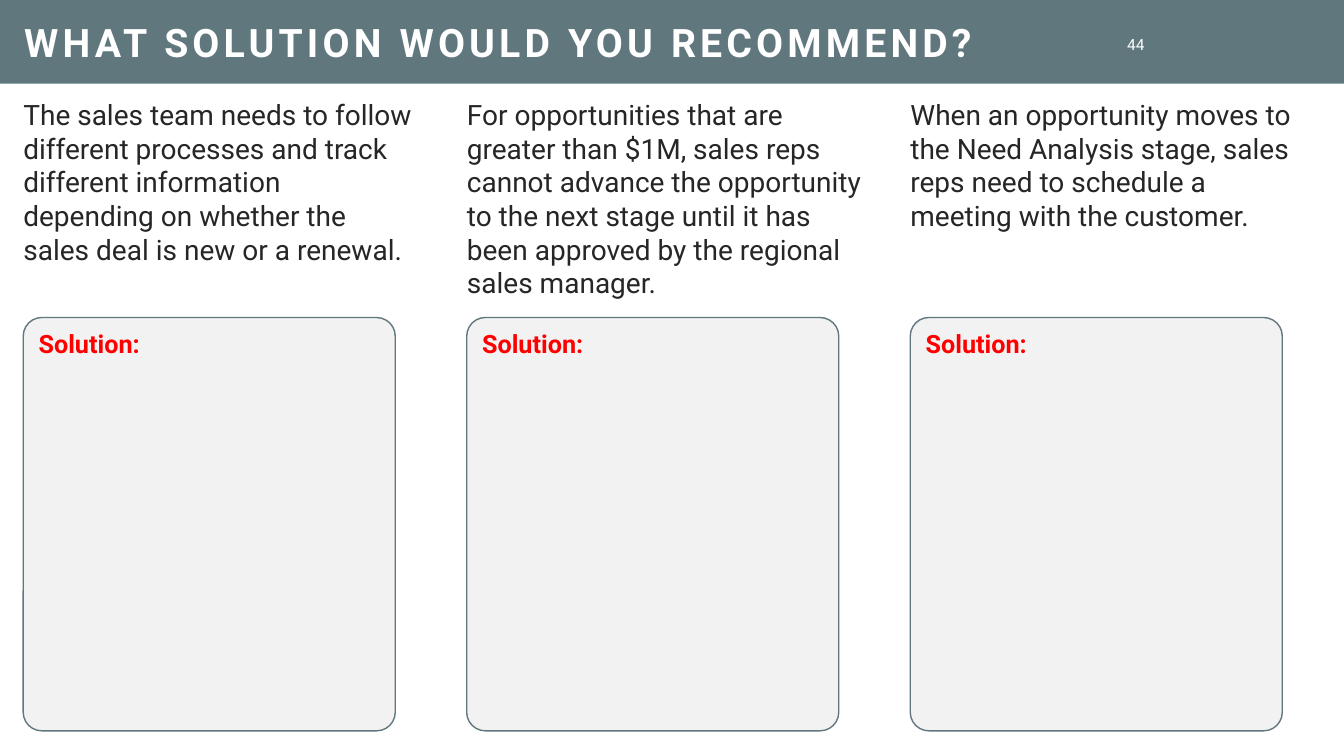
from pptx import Presentation
from pptx.dml.color import RGBColor
from pptx.enum.shapes import MSO_SHAPE
from pptx.enum.text import MSO_ANCHOR, PP_ALIGN
from pptx.util import Inches, Pt

WIDE, HIGH = Inches(13.33), Inches(7.5)
FONT = "Roboto"
HUES = {"slate": "60777E", "card": "F2F2F2", "ink": "262626",
        "red": "FF0000", "white": "FFFFFF"}
PITCH = 33
CASES = [
    (30.83, "The sales team needs to follow different processes and track "
            "different information depending on whether the sales deal is "
            "new or a renewal."),
    (31.28, "For opportunities that are greater than $1M, sales reps cannot "
            "advance the opportunity to the next stage until it has been "
            "approved by the regional sales manager."),
    (29.86, "When an opportunity moves to the Need Analysis stage, sales "
            "reps need to schedule a meeting with the customer."),
]


def hue(name):
    """Return the named colour."""
    return RGBColor.from_string(HUES[name])


def area(left, top, width, height):
    """Turn percentages of the slide into lengths."""
    return (int(WIDE * left / 100), int(HIGH * top / 100),
            int(WIDE * width / 100), int(HIGH * height / 100))


def write(shape, text, size, tint, bold=False, align=PP_ALIGN.LEFT,
          anchor=MSO_ANCHOR.TOP, pads=(0.1, 0.05, 0.1, 0.05)):
    """Write one formatted run in a shape and return it."""
    frame = shape.text_frame
    frame.word_wrap = True
    frame.vertical_anchor = anchor
    (frame.margin_left, frame.margin_top,
     frame.margin_right, frame.margin_bottom) = map(Inches, pads)
    para = frame.paragraphs[0]
    para.alignment = align
    para.space_before = Pt(0)
    run = para.add_run()
    run.text = text
    run.font.name, run.font.size, run.font.bold = FONT, Pt(size), bold
    run.font.color.rgb = hue(tint)
    return run


def block(slide, kind, box, fill):
    """Add a flat filled shape without an outline."""
    shape = slide.shapes.add_shape(kind, *area(*box))
    shape.shadow.inherit = False
    shape.fill.solid()
    shape.fill.fore_color.rgb = hue(fill)
    shape.line.fill.background()
    return shape


def header(slide, text, number):
    """Build the title band and the page number."""
    band = block(slide, MSO_SHAPE.RECTANGLE, (0, 0, 100, 11.07), "slate")
    slide.shapes._spTree.insert(2, band._element)
    title = slide.shapes.title
    (title.left, title.top,
     title.width, title.height) = area(1.05, 0, 80.87, 10.93)
    run = write(title, text, 28, "white", True, anchor=MSO_ANCHOR.MIDDLE,
                pads=(0.1, 0.15, 0.1, 0.05))
    run._r.get_or_add_rPr().set("spc", "300")
    title.text_frame.paragraphs[0].line_spacing = 0.8
    page = slide.shapes.add_textbox(*area(81.92, 4.4, 3.98, 2.93))
    write(page, number, 11, "white", align=PP_ALIGN.RIGHT,
          anchor=MSO_ANCHOR.MIDDLE, pads=(0.1, 0, 0.1, 0))


def case(slide, col, width, text):
    """Add the case text of a column."""
    box = slide.shapes.add_textbox(*area(1 + col * PITCH, 12.27, width, 86.8))
    write(box, text, 20, "ink")


def card(slide, col):
    """Add the solution card of a column."""
    shape = block(slide, MSO_SHAPE.ROUNDED_RECTANGLE,
                  (1.73 + col * PITCH, 42, 27.68, 54.67), "card")
    shape.adjustments[0] = 0.05
    shape.line.color.rgb = hue("slate")
    shape.line.width = Pt(1)
    write(shape, "Solution:", 18, "red", True)


def main():
    """Build and save the slide."""
    deck = Presentation()
    deck.slide_width, deck.slide_height = WIDE, HIGH
    slide = deck.slides.add_slide(deck.slide_layouts[5])
    header(slide, "WHAT SOLUTION WOULD YOU RECOMMEND?", "44")
    for col, (width, text) in enumerate(CASES):
        case(slide, col, width, text)
        card(slide, col)
    deck.save("out.pptx")


if __name__ == "__main__":
    main()
